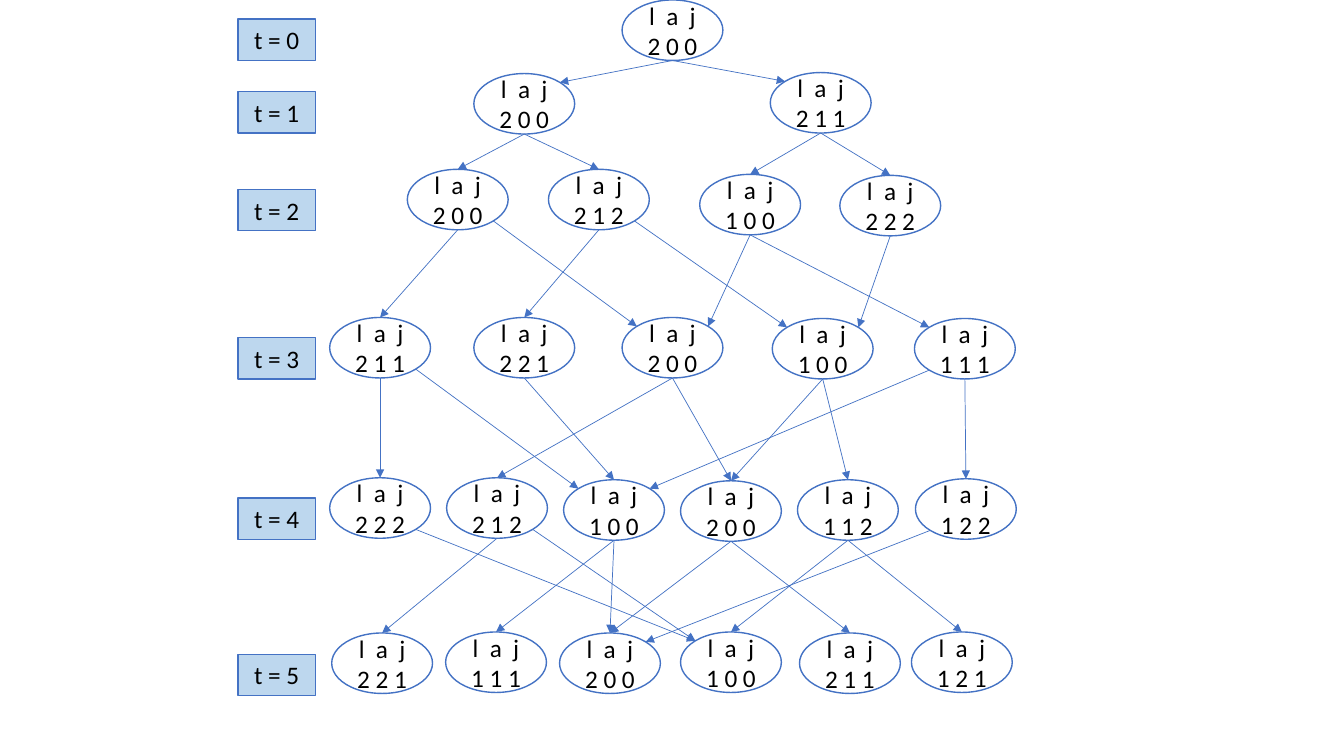
from dataclasses import dataclass
from math import cos, radians, sin

from lxml import etree
from pptx import Presentation
from pptx import util as u
from pptx.dml.color import RGBColor
from pptx.enum import shapes, text
from pptx.oxml.ns import qn


@dataclass(frozen=True)
class Theme:
    font: str = "Calibri"
    size: float = 18
    ink: str = "000000"
    line: str = "4472C4"
    state_fill: str = "FFFFFF"
    step_fill: str = "BDD7EE"
    outline: float = 1
    arrow: float = 0.5


@dataclass(frozen=True)
class Box:
    x: float
    y: float
    w: float
    h: float


THEME = Theme()
STATE_W, STATE_H = 1, 0.6
STEP_H = 0.41
TOP, TOP_LEFT, BOTTOM_LEFT, BOTTOM, BOTTOM_RIGHT, TOP_RIGHT = 0, 1, 3, 4, 5, 7

STEP_TOPS = [0.19, 0.91, 1.88, 3.35, 4.94, 6.49]

LEVELS = [
    [(2.9, 0, "2 0 0")],
    [(1.43, 0.73, "2 0 0"), (4.37, 0.72, "2 1 1")],
    [(0.77, 1.68, "2 0 0"), (2.17, 1.68, "2 1 2"),
     (3.67, 1.73, "1 0 0"), (5.06, 1.74, "2 2 2")],
    [(0, 3.15, "2 1 1"), (1.43, 3.15, "2 2 1"), (2.9, 3.15, "2 0 0"),
     (4.39, 3.16, "1 0 0"), (5.8, 3.16, "1 1 1")],
    [(0, 4.74, "2 2 2"), (1.16, 4.74, "2 1 2"), (2.32, 4.76, "1 0 0"),
     (3.48, 4.77, "2 0 0"), (4.64, 4.76, "1 1 2"), (5.81, 4.75, "1 2 2")],
    [(0.02, 6.28, "2 2 1"), (1.15, 6.27, "1 1 1"), (2.28, 6.28, "2 0 0"),
     (3.48, 6.27, "1 0 0"), (4.66, 6.28, "2 1 1"), (5.77, 6.27, "1 2 1")],
]

TRANSITIONS = [
    [(0, 0, BOTTOM, TOP_RIGHT), (0, 1, BOTTOM, TOP_LEFT)],
    [(0, 0), (0, 1), (1, 2), (1, 3)],
    [(0, 0), (0, 2, BOTTOM_RIGHT, TOP_LEFT), (1, 1),
     (1, 3, BOTTOM_RIGHT, TOP_LEFT), (2, 2, BOTTOM, TOP_RIGHT),
     (2, 4, BOTTOM, TOP_LEFT), (3, 3, BOTTOM, TOP_RIGHT)],
    [(0, 0), (0, 2, BOTTOM_RIGHT, TOP_LEFT), (1, 2), (2, 1), (2, 3),
     (3, 3), (3, 4), (4, 2, BOTTOM_LEFT, TOP_RIGHT), (4, 5)],
    [(0, 3, BOTTOM_RIGHT, TOP_LEFT), (1, 0),
     (1, 3, BOTTOM_RIGHT, TOP_LEFT), (2, 1), (2, 2), (3, 2), (3, 4),
     (4, 3), (4, 5), (5, 2, BOTTOM_LEFT, TOP_RIGHT)],
]


def apply(target, **values):
    for name, value in values.items():
        setattr(target, name, value)


def rgb(value):
    return RGBColor.from_string(value)


def add_label(grp, kind, box, fill, lines):
    sp = grp.shapes.add_shape(kind, *map(u.Inches, (box.x, box.y, box.w, box.h)))
    sp.shadow.inherit = False
    sp.fill.solid()
    sp.fill.fore_color.rgb = rgb(fill)
    sp.line.color.rgb = rgb(THEME.line)
    sp.line.width = u.Pt(THEME.outline)
    tf = sp.text_frame
    apply(tf, word_wrap=False, vertical_anchor=text.MSO_ANCHOR.MIDDLE,
          margin_top=0, margin_bottom=0)
    tf.text = "\n".join(lines)
    for p in tf.paragraphs:
        p.alignment = text.PP_ALIGN.CENTER
        for r in p.runs:
            apply(r.font, name=THEME.font, size=u.Pt(THEME.size))
            r.font.color.rgb = rgb(THEME.ink)
    return sp


def site_point(sp, site):
    angle = radians(90 + 45 * site)
    return (round(sp.left + sp.width / 2 * (1 + cos(angle))),
            round(sp.top + sp.height / 2 * (1 - sin(angle))))


def add_arrow(grp, source, target, start=BOTTOM, end=TOP):
    cx = grp.shapes.add_connector(shapes.MSO_CONNECTOR.STRAIGHT,
                                  *site_point(source, start),
                                  *site_point(target, end))
    cx.line.color.rgb = rgb(THEME.line)
    cx.line.width = u.Pt(THEME.arrow)
    etree.SubElement(cx.line._get_or_add_ln(), qn("a:tailEnd"), type="triangle")
    etree.SubElement(cx._element.spPr, qn("a:effectLst"))
    glue = cx._element.find(".//" + qn("p:cNvCxnSpPr"))
    for tag, sp, site in (("a:stCxn", source, start), ("a:endCxn", target, end)):
        etree.SubElement(glue, qn(tag), id=str(sp.shape_id), idx=str(site))


def add_state_graph(grp, box):
    states = [
        [add_label(grp, shapes.MSO_SHAPE.OVAL,
                   Box(box.x + x, box.y + y, STATE_W, STATE_H),
                   THEME.state_fill, ["l  a  j", values])
         for x, y, values in level]
        for level in LEVELS
    ]
    for sources, targets, moves in zip(states, states[1:], TRANSITIONS):
        for i, j, *sites in moves:
            add_arrow(grp, sources[i], targets[j], *sites)


def add_time_steps(grp, box):
    for t, top in enumerate(STEP_TOPS):
        add_label(grp, shapes.MSO_SHAPE.RECTANGLE,
                  Box(box.x, box.y + top, box.w, STEP_H),
                  THEME.step_fill, [f"t = {t}"])


def build_slide(prs):
    s = prs.slides.add_slide(prs.slide_layouts[6])
    grp = s.shapes.add_group_shape()
    add_state_graph(grp, Box(3.27, 0, 6.81, 6.88))
    add_time_steps(grp, Box(2.36, 0, 0.77, 6.9))


prs = Presentation()
apply(prs, slide_width=u.Inches(13.33), slide_height=u.Inches(7.5))
build_slide(prs)
prs.save("out.pptx")
